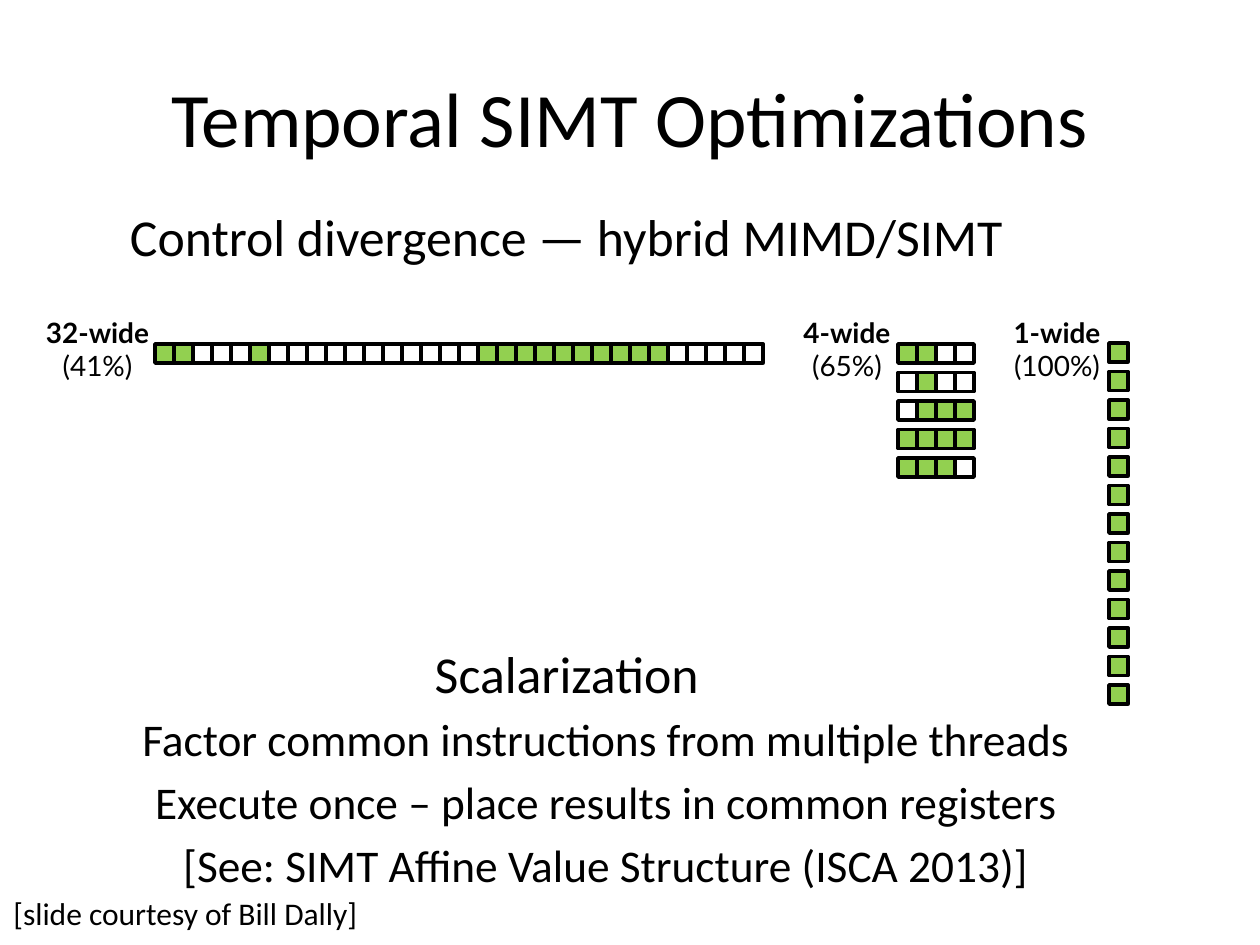
from dataclasses import dataclass

from pptx import Presentation
from pptx.dml.color import RGBColor
from pptx.enum.shapes import MSO_SHAPE
from pptx.enum.text import MSO_ANCHOR, PP_ALIGN
from pptx.shapes.shapetree import GroupShapes, SlideShapes
from pptx.util import Emu, Pt

RECT = MSO_SHAPE.RECTANGLE
MID, TOP = MSO_ANCHOR.MIDDLE, MSO_ANCHOR.TOP
LEFT, CENTER = PP_ALIGN.LEFT, PP_ALIGN.CENTER

SCALE = 914400 / 126
CELL = 19
PITCH = CELL * 3 / 2
LANES = "11000100" + "00000000" + "01111111" + "11100000"


@dataclass(frozen=True)
class Theme:
    ink: RGBColor = RGBColor(0x00, 0x00, 0x00)
    live: RGBColor = RGBColor(0x92, 0xD0, 0x50)
    idle: RGBColor = RGBColor(0xFF, 0xFF, 0xFF)
    main: str = "Calibri"
    tag: str = "Lato"
    title: float = 44
    head: float = 29.6
    item: float = 25.9
    note: float = 18
    label: float = 16
    edge: float = 2
    gap: float = 4.7


@dataclass(frozen=True)
class Box:
    left: int
    top: int
    width: int
    height: int


@dataclass(frozen=True)
class Line:
    text: str
    size: float
    face: str
    bold: bool = False
    indent: int = 0
    before: float = 0


@dataclass(frozen=True)
class Warp:
    """The lanes cut into rows of one width, with the place of their label."""
    width: int
    left: int
    top: int
    label: Box


THEME = Theme()
WARPS = [
    Warp(32, 155, 344, Box(24, 309, 147, 81)),
    Warp(4, 898, 344, Box(789, 309, 116, 81)),
    Warp(1, 1109, 343, Box(998, 309, 118, 81)),
]
ITEMS = [
    "Factor common instructions from multiple threads",
    "Execute once – place results in common registers",
    "[See: SIMT Affine Value Structure (ISCA 2013)]",
]


def px(n: float) -> Emu:
    return Emu(round(n * SCALE))


def write(shapes: SlideShapes | GroupShapes, box: Box, lines: list[Line],
          align: PP_ALIGN = CENTER, anchor: MSO_ANCHOR = TOP,
          wrap: bool = True) -> None:
    shape = shapes.add_textbox(px(box.left), px(box.top),
                               px(box.width), px(box.height))
    frame = shape.text_frame
    frame.word_wrap = wrap
    frame.vertical_anchor = anchor
    for i, line in enumerate(lines):
        para = frame.add_paragraph() if i else frame.paragraphs[0]
        para.alignment = align
        para.space_before = Pt(line.before)
        if line.indent:
            para.level = 1
            para._p.get_or_add_pPr().set("marL", str(px(line.indent)))
        run = para.add_run()
        run.text = line.text
        style = {"name": line.face, "size": Pt(line.size), "bold": line.bold}
        for key, value in style.items():
            setattr(run.font, key, value)
        run.font.color.rgb = THEME.ink


def cell(shapes: GroupShapes, left: float, top: float, live: bool) -> None:
    box = shapes.add_shape(RECT, px(left), px(top), px(CELL), px(CELL))
    box.shadow.inherit = False
    box.fill.solid()
    box.fill.fore_color.rgb = THEME.live if live else THEME.idle
    box.line.color.rgb = THEME.ink
    box.line.width = Pt(THEME.edge)


def draw(shapes: SlideShapes, warp: Warp) -> None:
    """Draw only rows with a live lane, and label them with their use."""
    group = shapes.add_group_shape().shapes
    cuts = [LANES[i:i + warp.width] for i in range(0, len(LANES), warp.width)]
    rows = [cut for cut in cuts if "1" in cut]
    for r, row in enumerate(rows):
        for c, lane in enumerate(row):
            cell(group, warp.left + c * CELL, warp.top + r * PITCH,
                 lane == "1")
    use = LANES.count("1") / (len(rows) * warp.width)
    write(group, warp.label, [
        Line(f"{warp.width}-wide", THEME.label, THEME.tag, bold=True),
        Line(f"({use:.0%})", THEME.label, THEME.tag),
    ])


def main() -> None:
    deck = Presentation()
    deck.slide_width, deck.slide_height = px(1260), px(945)
    shapes = deck.slides.add_slide(deck.slide_layouts[6]).shapes

    write(shapes, Box(63, 38, 1134, 158),
          [Line("Temporal SIMT Optimizations", THEME.title, THEME.main)],
          anchor=MID)
    write(shapes, Box(0, 199, 1134, 76),
          [Line("Control divergence — hybrid MIMD/SIMT",
                THEME.head, THEME.main)])
    write(shapes, Box(0, 635, 1134, 260),
          [Line("Scalarization", THEME.head, THEME.main)]
          + [Line(text, THEME.item, THEME.main, indent=78, before=THEME.gap)
             for text in ITEMS])
    for warp in WARPS:
        draw(shapes, warp)
    write(shapes, Box(1, 888, 374, 50),
          [Line("[slide courtesy of Bill Dally]", THEME.note, THEME.main)],
          align=LEFT, wrap=False)

    deck.save("out.pptx")


if __name__ == "__main__":
    main()
